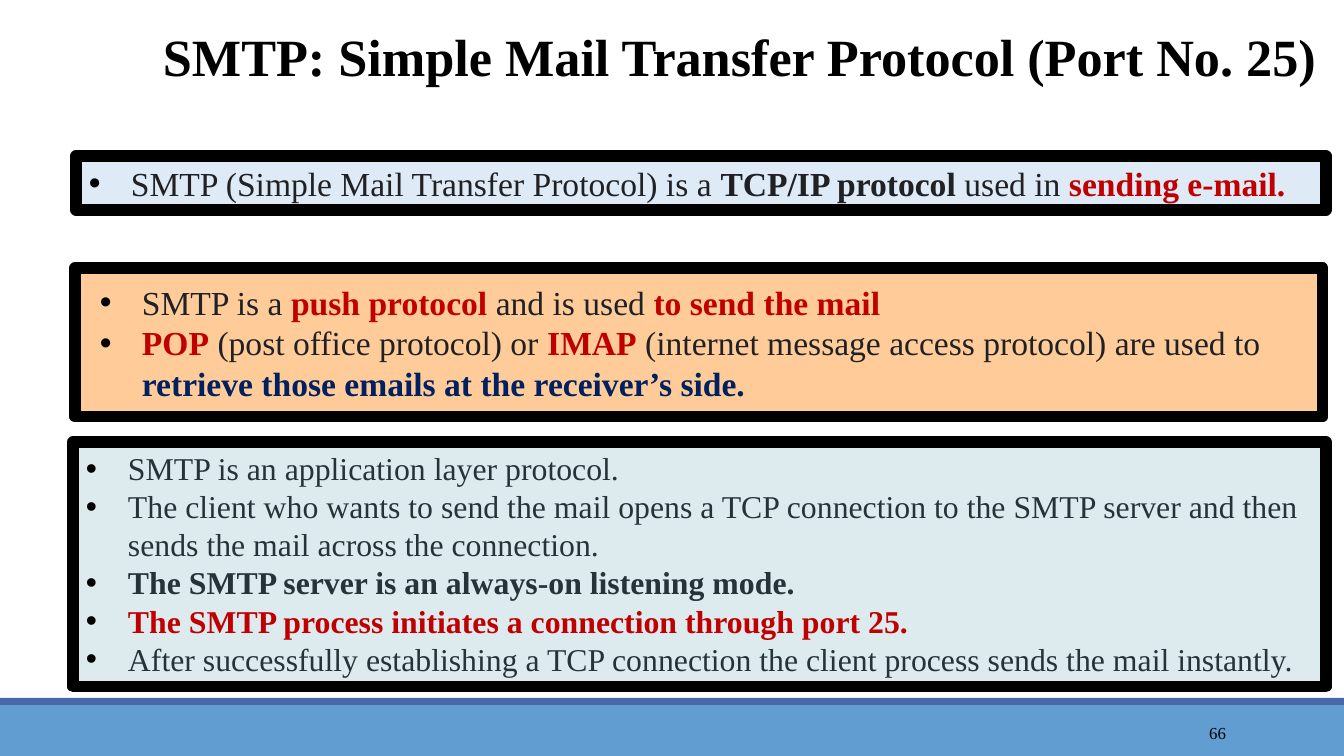
from lxml import etree
from pptx import Presentation
from pptx.dml.color import RGBColor
from pptx.enum.shapes import MSO_SHAPE
from pptx.enum.text import MSO_ANCHOR, PP_ALIGN
from pptx.oxml.ns import qn
from pptx.util import Emu, Pt

RECTANGLE = MSO_SHAPE.RECTANGLE
TOP, MIDDLE, BOTTOM = MSO_ANCHOR.TOP, MSO_ANCHOR.MIDDLE, MSO_ANCHOR.BOTTOM
LEFT, RIGHT = PP_ALIGN.LEFT, PP_ALIGN.RIGHT

THEME = {
    "font": "Times New Roman",
    "title_size": 28, "body_size": 18, "detail_size": 17, "number_size": 9,
    "black": "000000", "ink": "202124", "slate": "273239",
    "red": "C00000", "navy": "002060",
    "footer": "629DD1", "rule": "4A66AC",
    "blue_panel": "DEEAF5", "orange_panel": "FFCC99", "teal_panel": "DDEBEE",
}
EMU_PER_PX = 914400 / 134.4
BORDER = 6
HANGING = 42


def px(*lengths):
    return [Emu(round(length * EMU_PER_PX)) for length in lengths]


def write(shape, paragraphs, size, color, anchor, insets, align=LEFT, indent=0):
    """Fill a shape with paragraphs of (text, color, bold) runs, bulleted if indented."""
    frame = shape.text_frame
    frame.word_wrap = True
    frame.vertical_anchor = anchor
    frame.margin_left, frame.margin_top = px(*insets)
    frame.margin_right, frame.margin_bottom = px(*insets)
    for index, runs in enumerate(paragraphs):
        paragraph = frame.paragraphs[0] if index == 0 else frame.add_paragraph()
        paragraph.alignment = align
        if indent:
            properties = paragraph._p.get_or_add_pPr()
            margin, hanging = px(indent, HANGING)
            properties.set("marL", str(margin))
            properties.set("indent", str(-hanging))
            bullet_color = etree.SubElement(properties, qn("a:buClr"))
            etree.SubElement(bullet_color, qn("a:srgbClr"), val=THEME["black"])
            etree.SubElement(properties, qn("a:buFont"), typeface="Arial")
            etree.SubElement(properties, qn("a:buChar"), char="•")
        paragraph.font.name = THEME["font"]
        paragraph.font.size = Pt(THEME[size])
        for text, run_color, bold in runs:
            run = paragraph.add_run()
            run.text = text
            run.font.bold = bold
            run.font.color.rgb = RGBColor.from_string(THEME[run_color or color])


presentation = Presentation()
presentation.slide_width, presentation.slide_height = px(1344, 756)
slide = presentation.slides.add_slide(presentation.slide_layouts[6])

# Footer bands
for top, height, fill in [(705, 51, "footer"), (698, 7, "rule")]:
    band = slide.shapes.add_shape(RECTANGLE, *px(0, top, 1344, height))
    band.shadow.inherit = False
    band.fill.solid()
    band.fill.fore_color.rgb = RGBColor.from_string(THEME[fill])
    band.line.fill.background()

# Title and slide number
title = slide.shapes.add_textbox(*px(153, 7, 1191, 85))
write(title, [[("SMTP: Simple Mail Transfer Protocol (Port No. 25)", None, True)]],
      "title_size", "black", BOTTOM, (10, 5))
number = slide.shapes.add_textbox(*px(1091, 712, 145, 41))
write(number, [[("66", None, False)]], "number_size", "black", MIDDLE, (10, 5), RIGHT)

# Bordered panels: box, fill, text size, text color, vertical inset, indent, paragraphs
panels = [
    ((75, 268, 1248, 149), "orange_panel", "body_size", "ink", 14, 54, [
        [("SMTP is a ", None, False), ("push protocol ", "red", True),
         ("and is used ", None, False), ("to send the mail", "red", True)],
        [("POP", "red", True), (" (post office protocol) or ", None, False),
         ("IMAP", "red", True),
         (" (internet message access protocol) are used to ", None, False),
         ("retrieve those emails at the receiver’s side.", "navy", True)],
    ]),
    ((76, 156, 1250, 54), "blue_panel", "body_size", "ink", 7, HANGING, [
        [("SMTP (Simple Mail Transfer Protocol) is a ", None, False),
         ("TCP/IP protocol", None, True), (" used in ", None, False),
         ("sending e-mail.", "red", True)],
    ]),
    ((73, 442, 1253, 245), "teal_panel", "detail_size", "slate", 7, HANGING, [
        [("SMTP is an application layer protocol.", None, False)],
        [("The client who wants to send the mail opens a TCP connection to the "
          "SMTP server and then sends the mail across the connection.", None, False)],
        [("The SMTP server is an always-on listening mode.", None, True)],
        [("The SMTP process initiates a connection through port 25.", "red", True)],
        [("After successfully establishing a TCP connection the client process "
          "sends the mail instantly.", None, False)],
    ]),
]
for box, fill, size, color, inset, indent, paragraphs in panels:
    panel = slide.shapes.add_shape(RECTANGLE, *px(*box))
    panel.shadow.inherit = False
    panel.fill.solid()
    panel.fill.fore_color.rgb = RGBColor.from_string(THEME[fill])
    panel.line.color.rgb = RGBColor.from_string(THEME["black"])
    panel.line.width = Pt(BORDER)
    write(panel, paragraphs, size, color, TOP, (13, inset), indent=indent)

presentation.save("out.pptx")
